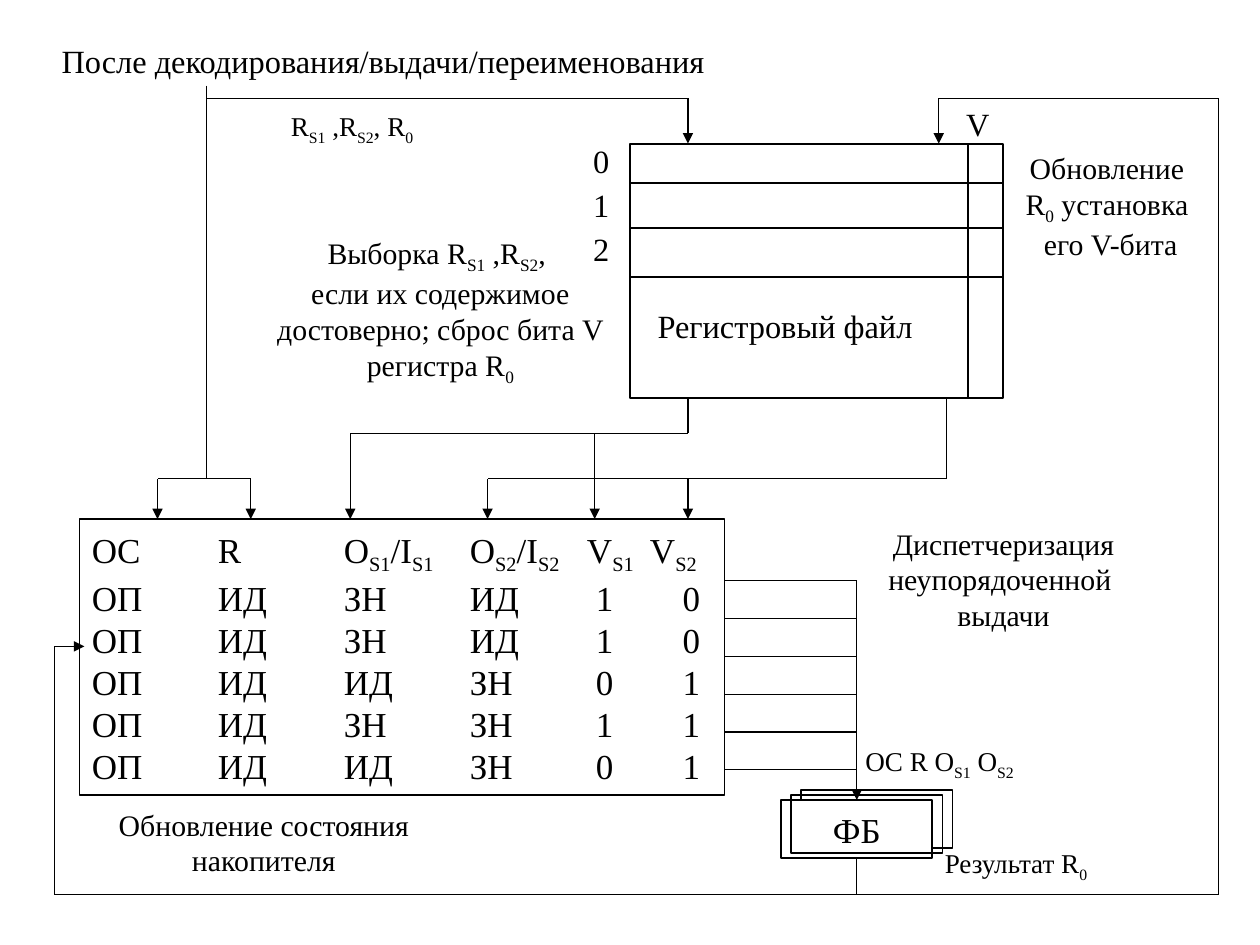
from dataclasses import dataclass

import pptx
import pptx.dml.color
import pptx.enum.shapes
import pptx.enum.text
import pptx.util
from lxml import etree
from pptx.oxml.ns import qn

ALIGN = pptx.enum.text.PP_ALIGN
ANCHOR = pptx.enum.text.MSO_ANCHOR
COLS, ROWS = 100, 75


@dataclass(frozen=True)
class Theme:
    font: str = "Times New Roman"
    ink: str = "000000"
    paper: str = "FFFFFF"
    cell: float = 20
    label: float = 18.5
    note: float = 17
    signal: float = 15.5
    border: float = 1
    wire: float = 0.75


def color(value):
    return pptx.dml.color.RGBColor.from_string(value)


def write(tf, text, theme, size, align=ALIGN.LEFT, anchor=ANCHOR.TOP, tabs=()):
    """Fill a frame; each ~x~ is a subscript and \\v is a line break.

    tabs holds one tuple of tab stops in inches for each paragraph.
    """
    tf.word_wrap = True
    tf.vertical_anchor = anchor
    for i, line in enumerate(text.split("\n")):
        p = tf.paragraphs[0] if i == 0 else tf.add_paragraph()
        p.alignment = align
        if tabs:
            tab_list = etree.SubElement(p._p.get_or_add_pPr(), qn("a:tabLst"))
            for stop in tabs[i]:
                etree.SubElement(tab_list, qn("a:tab"),
                                 pos=str(pptx.util.Inches(stop)), algn="l")
        for j, part in enumerate(line.split("~")):
            for k, piece in enumerate(part.split("\v")):
                if k:
                    p.add_line_break()
                if not piece:
                    continue
                r = p.add_run()
                r.text = piece
                r.font.name = theme.font
                r.font.size = pptx.util.Pt(size)
                r.font.color.rgb = color(theme.ink)
                if j % 2:
                    r._r.get_or_add_rPr().set("baseline", "-25000")


class Diagram:
    def __init__(self, prs, theme):
        self.theme = theme
        self.s = prs.slides.add_slide(prs.slide_layouts[6])
        self.col = prs.slide_width / COLS
        self.row = prs.slide_height / ROWS

    def at(self, *lengths):
        """Turn alternating columns and rows into slide units."""
        return [round(n * (self.row if i % 2 else self.col))
                for i, n in enumerate(lengths)]

    def box(self, x, y, w, h, filled=True):
        sp = self.s.shapes.add_shape(
            pptx.enum.shapes.MSO_SHAPE.RECTANGLE, *self.at(x, y, w, h))
        sp.shadow.inherit = False
        if filled:
            sp.fill.solid()
            sp.fill.fore_color.rgb = color(self.theme.paper)
        else:
            sp.fill.background()
        sp.line.color.rgb = color(self.theme.ink)
        sp.line.width = pptx.util.Pt(self.theme.border)
        return sp

    def text(self, x, y, w, h, text, size, **fmt):
        sp = self.s.shapes.add_textbox(*self.at(x, y, w, h))
        write(sp.text_frame, text, self.theme, size, **fmt)

    def line(self, start, end, width=None, arrow=False):
        cx = self.s.shapes.add_connector(
            pptx.enum.shapes.MSO_CONNECTOR.STRAIGHT, *self.at(*start, *end))
        cx.line.color.rgb = color(self.theme.ink)
        cx.line.width = pptx.util.Pt(width or self.theme.wire)
        if arrow:
            etree.SubElement(cx.line._get_or_add_ln(), qn("a:tailEnd"), type="triangle")
        etree.SubElement(cx._element.spPr, qn("a:effectLst"))
        return cx

    def route(self, *points, arrow=True):
        """Chain straight lines through the points; the last one may be an arrow."""
        for i, (start, end) in enumerate(zip(points, points[1:]), 2):
            self.line(start, end, arrow=arrow and i == len(points))


def register_file(d):
    t = d.theme
    left, top, width, height = 50, 11.4, 29.6, 20.2
    right, bottom = left + width, top + height
    d.box(left, top, width, height)
    for y in (14.5, 18.1, 22):
        d.line((left, y), (right, y), t.border)
    d.line((76.8, top), (76.8, bottom), t.border)
    for i in range(3):
        d.text(46.1, 10.7 + 3.5 * i, 5.1, 4.3, str(i), t.label)
    d.text(75.7, 7.8, 5.1, 4.3, "V", t.label)
    d.text(51.2, 23.8, 24.5, 4.3, "Регистровый файл", t.label)


def issue_queue(d):
    header = "OC\tR\tО~S1~/I~S1~\tО~S2~/I~S2~\tV~S1~\tV~S2~"
    entries = ("ЗН ИД 1 0", "ЗН ИД 1 0", "ИД ЗН 0 1", "ЗН ЗН 1 1", "ИД ЗН 0 1")
    lines = [header] + ["\t".join(["ОП", "ИД", *e.split()]) for e in entries]
    tabs = [(1, 2, 3, 3.93, 4.43)] + [(1, 2, 3, 4, 4.69)] * len(entries)
    sp = d.box(6.3, 41.2, 51.2, 21.9)
    write(sp.text_frame, "\n".join(lines), d.theme, d.theme.cell,
          anchor=ANCHOR.MIDDLE, tabs=tabs)


def function_units(d):
    d.box(63.6, 62.7, 12, 4.6, filled=False)
    front = d.box(62, 63.5, 12, 4.6)
    write(front.text_frame, "ФБ", d.theme, d.theme.cell,
          align=ALIGN.CENTER, anchor=ANCHOR.MIDDLE)
    d.box(62.8, 63.1, 12, 4.6, filled=False)
    return front


def wires(d, unit):
    decode, file_in, bus = 16.4, 54.6, 68
    top, fork, queue, floor = 7.8, 38, 41.2, 71

    d.line((decode, 6.8), (decode, fork))
    d.route((decode, top), (file_in, top), (file_in, 11.4))
    for x in (12.5, 19.9):
        d.route((decode, fork), (x, fork), (x, queue))

    d.route((file_in, 31.6), (file_in, 34.4), (27.8, 34.4), (27.8, queue))
    d.route((47.2, 34.4), (47.2, queue))
    d.route((75.1, 31.6), (75.1, fork), (38.7, fork), (38.7, queue))
    d.route((file_in, fork), (file_in, queue))

    first_exit = 46.1
    for i in range(6):
        y = first_exit + 3 * i
        d.line((57.5, y), (bus, y))
    d.line((bus, first_exit), (bus, 63.5), arrow=True).end_connect(unit, 0)
    d.line((bus, 68.1), (bus, floor)).begin_connect(unit, 2)
    d.route((bus, floor), (96.7, floor), (96.7, top), (74.5, top), (74.5, 11.4))
    d.route((bus, floor), (4.3, floor), (4.3, 51.3), (6.7, 51.3))


def captions(d):
    t = d.theme
    d.text(3.9, 2.8, 63.2, 4.3, "После декодирования/выдачи/переименования", t.label)
    for x, y, w, text in (
        (22.1, 8.2, 17.1, "R~S1~ ,R~S2~, R~0~"),
        (74, 66.7, 19.4, "Результат R~0~"),
        (67.7, 58.6, 19.9, "OC R О~S1~ О~S2~"),
    ):
        d.text(x, y, w, 4.3, text, t.signal)
    for x, y, w, h, text in (
        (67.1, 41.2, 25.1, 10.3, "Диспетчеризация\vнеупорядоченной \vвыдачи"),
        (5.3, 63.5, 31.3, 7.1, "Обновление состояния\vнакопителя"),
        (21, 18.1, 27.9, 13.8, "Выборка R~S1~ ,R~S2~, \vесли их содержимое "
                               "достоверно; сброс бита V регистра R~0~"),
        (77.9, 11.4, 20.5, 10.3, "Обновление \vR~0~ установка \vего V-бита"),
    ):
        d.text(x, y, w, h, text, t.note, align=ALIGN.CENTER)


def main():
    prs = pptx.Presentation()
    prs.slide_width = pptx.util.Inches(10)
    prs.slide_height = pptx.util.Inches(7.5)
    d = Diagram(prs, Theme())
    register_file(d)
    issue_queue(d)
    unit = function_units(d)
    wires(d, unit)
    captions(d)
    prs.save("out.pptx")


if __name__ == "__main__":
    main()
